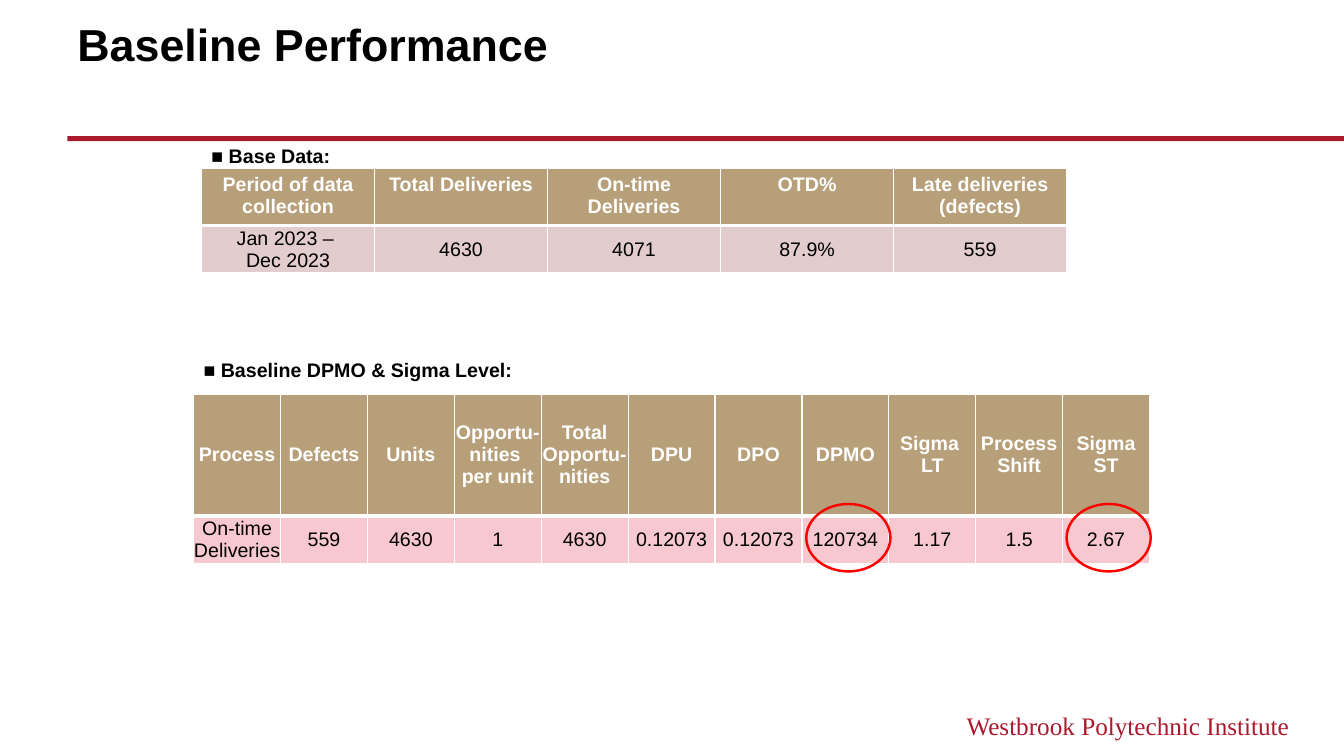
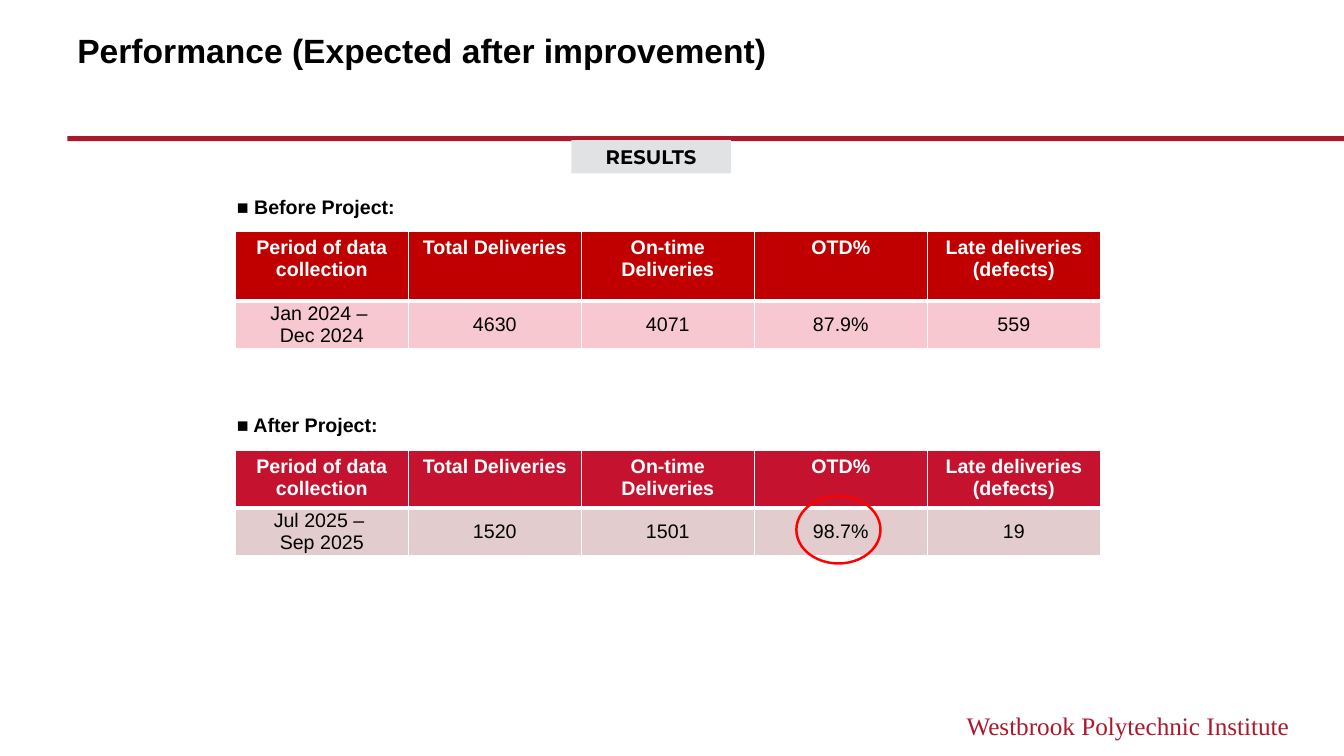
from pptx import Presentation, util as u
from pptx.dml.color import RGBColor
from pptx.enum import shapes, text
from pptx.oxml import parse_xml
from pptx.oxml.ns import nsdecls

Cm, Pt = u.Cm, u.Pt
MSO, ANCHOR, ALIGN = shapes.MSO_SHAPE, text.MSO_ANCHOR, text.PP_ALIGN

C = {"crimson": "AB192D", "black": "000000", "white": "FFFFFF", "tan": "B7A079",
     "rose": "E2CCCD", "pink": "F7C8CF", "red": "C00000", "scarlet": "C4122F",
     "grey": "E0E2E4", "ring": "FF0000"}


def rgb(name):
    return RGBColor.from_string(C[name])


def write(tf, string, size=14, font="Arial", color="black", bold=True,
          align=ALIGN.LEFT, anchor=ANCHOR.MIDDLE):
    tf.word_wrap = True
    tf.vertical_anchor = anchor
    tf.text = string
    for p in tf.paragraphs:
        p.alignment = align
        for r in p.runs:
            r.font.size, r.font.name, r.font.bold = Pt(size), font, bold
            r.font.color.rgb = rgb(color)


# Table content: header row, then data row
delivery_head = ["Period of data collection", "Total Deliveries", "On-time Deliveries",
                 "OTD%", "Late deliveries (defects)"]
sigma_head = ["Process", "Defects", "Units", "Opportu-nities \nper unit",
              "Total\nOpportu-nities", "DPU", "DPO", "DPMO", "Sigma \nLT",
              "Process\nShift", "Sigma ST"]
sigma_row = ["On-time Deliveries", "559", "4630", "1", "4630", "0.12073", "0.12073",
             "120734", "1.17", "1.5", "2.67"]

# Lengths in cm; "at" is left, top; "rows" are heights; "tight" drops header insets
slides = [
    {"title": "Baseline Performance", "size": 32, "tag": None,
     "labels": [("■ Base Data:", 5.08, 3.07),
                ("■ Baseline DPMO & Sigma Level:", 4.88, 8.46)],
     "tables": [
         {"at": (5.08, 4.24), "col": 4.36, "rows": (1.43, 1.2), "fills": ("tan", "rose"),
          "tight": False, "head": delivery_head,
          "data": ["Jan 2023 – \nDec 2023", "4630", "4071", "87.9%", "559"]},
         {"at": (4.88, 9.93), "col": 2.19, "rows": (3.07, 1.2), "fills": ("tan", "pink"),
          "tight": True, "head": sigma_head, "data": sigma_row}],
     "rings": [(20.32, 12.7), (26.88, 12.7)]},
    {"title": "Performance (Expected after improvement)", "size": 24, "tag": "RESULTS",
     "labels": [("■ Before Project:", 5.72, 4.37), ("■ After Project:", 5.72, 9.86)],
     "tables": [
         {"at": (5.93, 5.84), "col": 4.36, "rows": (1.75, 1.13), "fills": ("red", "pink"),
          "tight": False, "head": delivery_head,
          "data": ["Jan 2024 – \nDec 2024", "4630", "4071", "87.9%", "559"]},
         {"at": (5.93, 11.36), "col": 4.36, "rows": (1.36, 1.13), "fills": ("scarlet", "rose"),
          "tight": False, "head": delivery_head,
          "data": ["Jul 2025 – \nSep 2025", "1520", "1501", "98.7%", "19"]}],
     "rings": [(20.07, 12.5)]},
]

prs = Presentation()
prs.slide_width, prs.slide_height = Cm(33.87), Cm(19.05)

for content in slides:
    s = prs.slides.add_slide(prs.slide_layouts[6])

    # Rule, footer and title
    sp = s.shapes.add_shape(MSO.RECTANGLE, Cm(1.7), Cm(3.43), Cm(32.17), Cm(0.13))
    sp.shadow.inherit = False
    sp.fill.solid()
    sp.fill.fore_color.rgb = rgb("crimson")
    sp.line.fill.background()
    sp = s.shapes.add_textbox(Cm(20.32), Cm(17.78), Cm(12.42), Cm(1.02))
    write(sp.text_frame, "Westbrook Polytechnic Institute", size=18, bold=False,
          font="Times New Roman", color="crimson", align=ALIGN.RIGHT, anchor=ANCHOR.TOP)
    sp = s.shapes.add_textbox(Cm(1.7), Cm(0.25), Cm(30.48), Cm(1.65))
    write(sp.text_frame, content["title"], size=content["size"], anchor=ANCHOR.BOTTOM)

    # Tables
    for t in content["tables"]:
        n = len(t["head"])
        left, top = t["at"]
        frame = s.shapes.add_table(2, n, Cm(left), Cm(top), Cm(t["col"] * n),
                                   Cm(sum(t["rows"])))
        table = frame.table
        for col in table.columns:
            col.width = Cm(t["col"])
        for i, values in enumerate((t["head"], t["data"])):
            is_head = i == 0
            table.rows[i].height = Cm(t["rows"][i])
            for j, value in enumerate(values):
                cell = table.cell(i, j)
                if t["tight"] or not is_head:
                    cell.margin_left = cell.margin_right = 0
                    cell.margin_top = cell.margin_bottom = 0
                write(cell.text_frame, value, bold=is_head, align=ALIGN.CENTER,
                      color="white" if is_head else "black")
                cell.vertical_anchor = (ANCHOR.TOP if is_head and not t["tight"]
                                        else ANCHOR.MIDDLE)
                # White borders, thick between header and data
                for side in "LRTB":
                    thick = side == ("B" if is_head else "T")
                    cell._tc.get_or_add_tcPr().append(parse_xml(
                        f'<a:ln{side} {nsdecls("a")} w="{Pt(3 if thick else 1)}">'
                        f'<a:solidFill><a:srgbClr val="{C["white"]}"/></a:solidFill>'
                        f'</a:ln{side}>'))
                cell.fill.solid()
                cell.fill.fore_color.rgb = rgb(t["fills"][i])

    # Table labels
    for label, left, top in content["labels"]:
        sp = s.shapes.add_textbox(Cm(left), Cm(top), Cm(12), Cm(1.7))
        write(sp.text_frame, label)

    # Results tag
    if content["tag"]:
        sp = s.shapes.add_shape(MSO.RECTANGLE, Cm(14.4), Cm(3.53), Cm(4.02), Cm(0.84))
        sp.shadow.inherit = False
        sp.fill.solid()
        sp.fill.fore_color.rgb = rgb("grey")
        sp.line.fill.background()
        write(sp.text_frame, content["tag"], font="Montserrat", align=ALIGN.CENTER)

    # Rings around key figures
    for left, top in content["rings"]:
        sp = s.shapes.add_shape(MSO.OVAL, Cm(left), Cm(top), Cm(2.12), Cm(1.7))
        sp.shadow.inherit = False
        sp.fill.background()
        sp.line.color.rgb = rgb("ring")
        sp.line.width = Pt(1.75)

prs.save("out.pptx")
